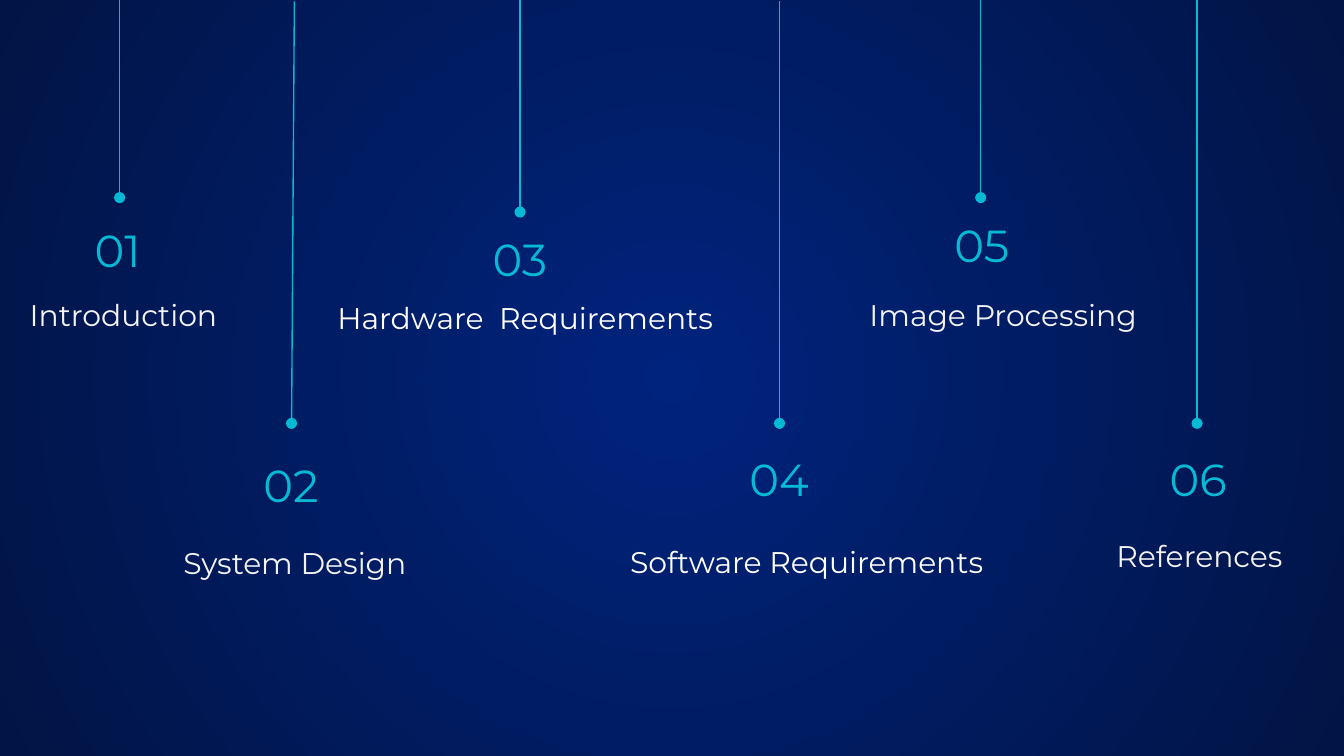
"""Build an agenda slide with six numbered topics hanging from lines."""
from dataclasses import dataclass

from lxml.etree import SubElement
from pptx import Presentation
from pptx.dml.color import RGBColor as Rgb
from pptx.enum.shapes import MSO_CONNECTOR as Connector
from pptx.enum.text import MSO_ANCHOR as Anchor, MSO_AUTO_SIZE as AutoSize, PP_ALIGN as Align
from pptx.oxml.ns import qn
from pptx.slide import Slide
from pptx.util import Pt


@dataclass(frozen=True)
class Theme:
    font: str = "Montserrat"
    centre: Rgb = Rgb(0x00, 0x23, 0x7D)
    edge: Rgb = Rgb(0x01, 0x14, 0x45)
    accent: Rgb = Rgb(0x06, 0xBA, 0xD6)
    soft: Rgb = Rgb(0xF3, 0xF3, 0xF3)
    white: Rgb = Rgb(0xFF, 0xFF, 0xFF)
    number_size: float = 24
    label_size: float = 16
    line_width: float = 0.75


@dataclass(frozen=True)
class TextStyle:
    size: float
    color: Rgb
    height: float
    frame: dict
    align: Align


@dataclass(frozen=True)
class Topic:
    label: str
    style: TextStyle
    dot: tuple[float, float]
    line_top: tuple[float, float]
    number: tuple[float, float]
    label_box: tuple[float, float, float]


THEME = Theme()
NUMBER_WIDTH = 84.24
CENTRED = {
    "word_wrap": True, "vertical_anchor": Anchor.BOTTOM,
    "margin_left": Pt(7.2), "margin_right": Pt(7.2),
    "margin_top": Pt(7.2), "margin_bottom": Pt(7.2),
}
GROWING = {"word_wrap": True, "auto_size": AutoSize.SHAPE_TO_FIT_TEXT}
NUMBER = TextStyle(THEME.number_size, THEME.accent, 38.9, CENTRED, Align.CENTER)
TITLE = TextStyle(THEME.label_size, THEME.soft, 30.2, CENTRED, Align.CENTER)
PLAIN = TextStyle(THEME.label_size, THEME.white, 26.6, GROWING, Align.LEFT)

TOPICS = [
    Topic("Introduction", TITLE, (64.1, 105.9), (64.1, 0), (63, 116.6), (1.4, 155.2, 129.6)),
    Topic("System Design", TITLE, (156.2, 226.8), (157.7, 0.7), (155.9, 242.6), (77, 288, 162)),
    Topic("Hardware  Requirements", PLAIN, (278.6, 113.6), (278.6, 0), (278.6, 121), (173.7, 157.2, 228.2)),
    Topic("Software Requirements", PLAIN, (417.6, 226.8), (417.6, 0.7), (417.4, 239), (330.5, 288, 218.9)),
    Topic("Image Processing", TITLE, (525.4, 105.9), (525.4, 0), (526, 113.8), (439.9, 155, 195.1)),
    Topic("References", TITLE, (641.3, 226.8), (641.3, 0), (641.9, 239), (565.6, 284.4, 154)),
]


def paint_background(slide: Slide) -> None:
    """Fill the slide with a circular gradient."""
    fill = slide.background.fill
    fill.gradient()
    for stop, color in zip(fill.gradient_stops, (THEME.centre, THEME.edge)):
        stop.color.rgb = color
    gradient = next(slide.element.iter(qn("a:gradFill")))
    gradient.remove(gradient.find(qn("a:lin")))
    circle = SubElement(gradient, qn("a:path"), {"path": "circle"})
    SubElement(circle, qn("a:fillToRect"), dict.fromkeys("ltrb", "50000"))


def add_text(slide: Slide, text: str, left: float, top: float, width: float, style: TextStyle) -> None:
    """Add one line of styled text."""
    box = slide.shapes.add_textbox(Pt(left), Pt(top), Pt(width), Pt(style.height))
    for name, value in style.frame.items():
        setattr(box.text_frame, name, value)
    para = box.text_frame.paragraphs[0]
    para.alignment = style.align
    span = para.add_run()
    span.text = text
    for name, value in {"name": THEME.font, "size": Pt(style.size)}.items():
        setattr(span.font, name, value)
    span.font.color.rgb = style.color


def add_hanging_line(slide: Slide, topic: Topic) -> None:
    """Draw a line from the dot up to the slide's top edge."""
    ends = [Pt(value) for value in (*topic.dot, *topic.line_top)]
    connector = slide.shapes.add_connector(Connector.STRAIGHT, *ends)
    connector.line.color.rgb = THEME.accent
    connector.line.width = Pt(THEME.line_width)
    properties = connector.element.spPr
    SubElement(properties.find(qn("a:ln")), qn("a:headEnd"), {"type": "oval", "w": "med", "len": "med"})
    SubElement(properties, qn("a:effectLst"))


def add_topic(slide: Slide, order: int, topic: Topic) -> None:
    """Draw a topic's line, number and label."""
    add_hanging_line(slide, topic)
    centre, top = topic.number
    add_text(slide, f"{order:02}", centre - NUMBER_WIDTH / 2, top, NUMBER_WIDTH, NUMBER)
    add_text(slide, topic.label, *topic.label_box, topic.style)


def main() -> None:
    """Build and save the deck."""
    deck = Presentation()
    deck.slide_width, deck.slide_height = Pt(720), Pt(405)
    slide = deck.slides.add_slide(deck.slide_layouts[6])
    paint_background(slide)
    for order, topic in enumerate(TOPICS, start=1):
        add_topic(slide, order, topic)
    deck.save("out.pptx")


if __name__ == "__main__":
    main()
